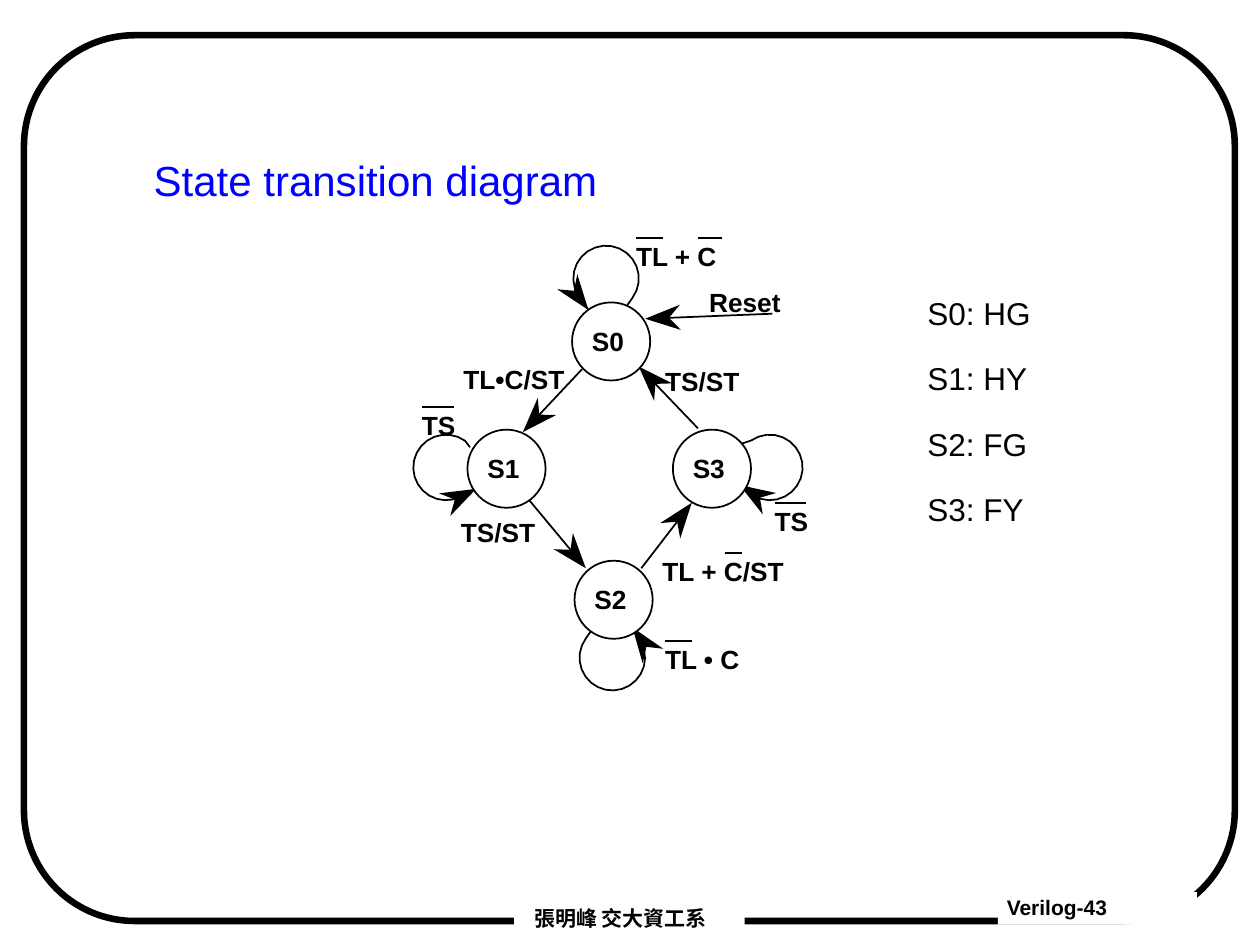
import math
import lxml.etree
import pptx
import pptx.dml.color
import pptx.enum.shapes
import pptx.enum.text
import pptx.oxml.ns
import pptx.util

COLORS = {"ink": "000000", "title": "0000FF", "paper": "FFFFFF"}
TITLE = "State transition diagram"
LEGEND = {"S0": "HG", "S1": "HY", "S2": "FG", "S3": "FY"}
FOOTERS = [
    {"text": "Verilog-43", "box": (7.92, 7.08, 1.58, 0.26), "left": 0.07, "font": "Arial"},
    {"text": "張明峰 交大資工系", "box": (4.08, 7.17, 1.83, 0.25), "left": 0.16,
     "font": "Noto Sans CJK SC"},
]
STATES = {"S0": (4.54, 2.4), "S1": (3.71, 3.41), "S3": (5.34, 3.41), "S2": (4.56, 4.45)}
ARROWS = [
    {"tail": (4.62, 2.93), "tip": (4.15, 3.43)},
    {"tail": (4.2, 3.97), "tip": (4.65, 4.51)},
    {"tail": (5.54, 3.4), "tip": (5.07, 2.91)},
    {"tail": (5.09, 4.51), "tip": (5.49, 3.99)},
    {"tail": (6.13, 2.49), "tip": (5.12, 2.53)},
]
CLOCKWISE, COUNTER = 1, -1
LOOPS = [
    {"center": (4.81, 2.21), "start": (4.98, 2.42), "tail": (4.61, 2.38),
     "tip": (4.67, 2.46), "turn": COUNTER},
    {"center": (3.54, 3.71), "start": (3.73, 3.55), "tail": (3.7, 3.92),
     "tip": (3.78, 3.88), "turn": COUNTER},
    {"center": (6.11, 3.71), "start": (5.89, 3.52), "tail": (5.95, 3.9),
     "tip": (5.87, 3.85), "turn": CLOCKWISE},
    {"center": (4.86, 5.22), "start": (4.69, 5.01), "tail": (5.07, 5.05),
     "tip": (5.02, 4.98), "turn": COUNTER},
]
BAR_TL, BAR_TS = (0.1, 0.21), (0.1, 0.25)
LABELS = [
    {"text": "Reset", "at": (5.53, 2.22), "width": 0.77, "bars": []},
    {"text": "TL + C", "at": (4.95, 1.86), "width": 0.84, "bars": [BAR_TL, (0.59, 0.19)]},
    {"text": "TL•C/ST", "at": (3.58, 2.83), "width": 1, "bars": []},
    {"text": "TS", "at": (3.25, 3.2), "width": 0.47, "bars": [BAR_TS]},
    {"text": "TS/ST", "at": (5.18, 2.85), "width": 0.79, "bars": []},
    {"text": "TS/ST", "at": (3.56, 4.05), "width": 0.79, "bars": []},
    {"text": "TL + C/ST", "at": (5.16, 4.36), "width": 1.17, "bars": [(0.59, 0.14)]},
    {"text": "TS", "at": (6.05, 3.96), "width": 0.47, "bars": [BAR_TS]},
    {"text": "TL • C", "at": (5.18, 5.06), "width": 0.8, "bars": [BAR_TL]},
]
DIAMETER, LOOP_RADIUS, LOOP_STEPS = 0.62, 0.26, 20
HEAD_NOTCH, HEAD_LENGTH, HEAD_HALF_WIDTH = 0.19, 0.28, 0.1
NAME_OFFSET, NAME_WIDTH = (0.06, 0.13), 0.46
LABEL_HEIGHT, BAR_DROP = 0.35, 0.03
THIN, THICK = 1, 3.75

Inches, Pt = pptx.util.Inches, pptx.util.Pt
qn = pptx.oxml.ns.qn
MSO = pptx.enum.shapes.MSO_SHAPE


def inches(values):
    return [Inches(v) for v in values]


def rgb(name):
    return pptx.dml.color.RGBColor.from_string(COLORS[name])


def apply(obj, values):
    for name, value in values.items():
        setattr(obj, name, value)


def paint(sp, fill=None, width=None):
    sp.shadow.inherit = False
    if fill:
        sp.fill.solid()
        sp.fill.fore_color.rgb = rgb(fill)
    else:
        sp.fill.background()
    if width:
        sp.line.color.rgb = rgb("ink")
        sp.line.width = Pt(width)
    else:
        sp.line.fill.background()


def write(sp, lines, size, color="ink", bold=False, font="Arial",
          inset=(0.07, 0.03), left=None, spacing=1.0, gap=0):
    tf = sp.text_frame
    x, y = inches(inset)
    apply(tf, {"margin_left": x if left is None else Inches(left), "margin_right": x,
               "margin_top": y, "margin_bottom": y, "word_wrap": False,
               "auto_size": pptx.enum.text.MSO_AUTO_SIZE.NONE,
               "vertical_anchor": pptx.enum.text.MSO_ANCHOR.TOP})
    for i, text in enumerate(lines):
        p = tf.add_paragraph() if i else tf.paragraphs[0]
        apply(p, {"alignment": pptx.enum.text.PP_ALIGN.LEFT, "line_spacing": spacing,
                  "space_before": Pt(0), "space_after": Pt(gap)})
        r = p.add_run()
        r.text = text
        apply(r.font, {"size": Pt(size), "bold": bold, "name": font})
        r.font.color.rgb = rgb(color)
        lxml.etree.SubElement(r.font._element, qn("a:ea")).set("typeface", font)


def fill_placeholder(sp, box, lines, size, **style):
    apply(sp, dict(zip(("left", "top", "width", "height"), inches(box))))
    write(sp, lines, size, spacing=0.85, **style)
    for p in sp.text_frame.paragraphs:
        pPr = p._p.get_or_add_pPr()
        pPr.attrib.update({"marL": "0", "indent": "0"})
        lxml.etree.SubElement(pPr, qn("a:buNone"))


def add_label(shapes, text, at, width):
    sp = shapes.add_textbox(*inches((*at, width, LABEL_HEIGHT)))
    write(sp, [text], 15, bold=True, inset=(0.1, 0.05))


def add_line(shapes, start, end):
    c = shapes.add_connector(pptx.enum.shapes.MSO_CONNECTOR.STRAIGHT, *inches(start + end))
    c.line.color.rgb = rgb("ink")
    c.line.width = Pt(THIN)
    lxml.etree.SubElement(c._element.spPr, qn("a:effectLst"))


def add_outline(shapes, points, close, **style):
    first, *rest = [inches(pt) for pt in points]
    builder = shapes.build_freeform(*first)
    builder.add_line_segments(rest, close=close)
    paint(builder.convert_to_shape(), **style)


def add_arrow(shapes, tail, tip):
    angle = math.atan2(tail[1] - tip[1], tail[0] - tip[0])
    ux, uy = math.cos(angle), math.sin(angle)

    def behind_tip(back, side):
        return tip[0] + back * ux - side * uy, tip[1] + back * uy + side * ux

    notch = behind_tip(HEAD_NOTCH, 0)
    wings = [behind_tip(HEAD_LENGTH, side) for side in (HEAD_HALF_WIDTH, -HEAD_HALF_WIDTH)]
    add_outline(shapes, [tip, wings[0], notch, wings[1]], True, fill="ink")
    add_line(shapes, tail, notch)


def arc_points(center, start, tip, turn):
    cx, cy = center
    first, last = [math.atan2(y - cy, x - cx) for x, y in (start, tip)]
    sweep = turn * ((turn * (last - first)) % math.tau)
    angles = [first + sweep * i / LOOP_STEPS for i in range(1, LOOP_STEPS)]
    arc = [(cx + LOOP_RADIUS * math.cos(a), cy + LOOP_RADIUS * math.sin(a)) for a in angles]
    return [start, *arc, tip]


def add_frame(shapes):
    frame = shapes.add_shape(MSO.ROUNDED_RECTANGLE, *inches((0.19, 0.28, 9.61, 7.03)))
    frame.adjustments[0] = 0.125
    paint(frame, width=THICK)
    for footer in FOOTERS:
        sp = shapes.add_shape(MSO.RECTANGLE, *inches(footer["box"]))
        paint(sp, "paper")
        write(sp, [footer["text"]], 12, bold=True, font=footer["font"],
              left=footer["left"], spacing=0.97)


def add_diagram(shapes):
    for loop in LOOPS:
        group = shapes.add_group_shape().shapes
        points = arc_points(loop["center"], loop["start"], loop["tip"], loop["turn"])
        add_outline(group, points, False, width=THIN)
        add_arrow(group, loop["tail"], loop["tip"])
    for x, y in STATES.values():
        paint(shapes.add_shape(MSO.OVAL, *inches((x, y, DIAMETER, DIAMETER))), "paper", THIN)
    for ends in ARROWS:
        add_arrow(shapes.add_group_shape().shapes, **ends)
    for name, (x, y) in STATES.items():
        add_label(shapes, name, (x + NAME_OFFSET[0], y + NAME_OFFSET[1]), NAME_WIDTH)
    for label in LABELS:
        x, y = label["at"]
        add_label(shapes, label["text"], label["at"], label["width"])
        for offset, length in label["bars"]:
            bar_left, bar_y = x + offset, y + BAR_DROP
            add_line(shapes, (bar_left, bar_y), (bar_left + length, bar_y))


def main():
    """Build the state transition diagram slide."""
    prs = pptx.Presentation()
    prs.slide_width, prs.slide_height = inches((10, 7.5))
    s = prs.slides.add_slide(prs.slide_layouts[1])
    fill_placeholder(s.shapes.title, (1.15, 1.26, 3.8, 0.4), [TITLE], 24, color="title")
    legend = [f"{state}: {lights}" for state, lights in LEGEND.items()]
    fill_placeholder(s.placeholders[1], (7.29, 2.35, 1.1, 1.84), legend, 18, gap=19)
    add_frame(s.shapes)
    add_diagram(s.shapes)
    prs.save("out.pptx")


if __name__ == "__main__":
    main()
